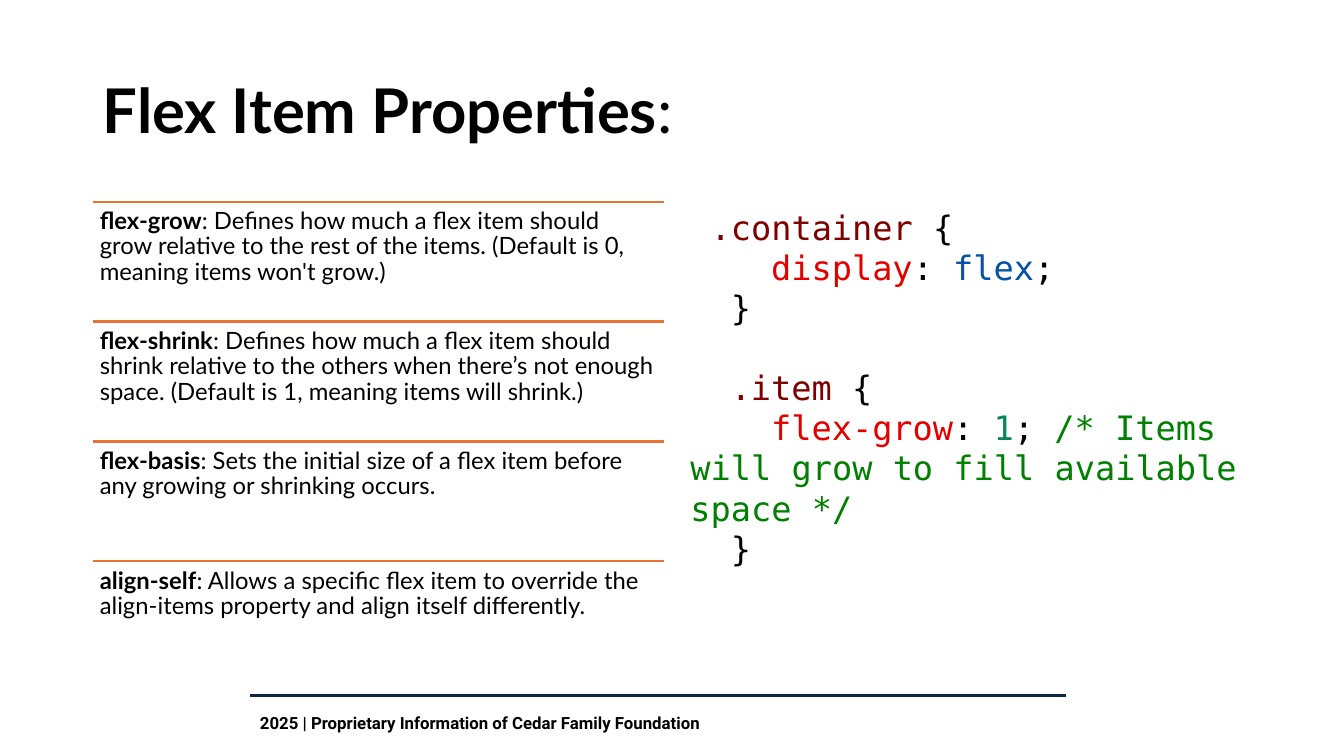
from lxml.etree import SubElement
from pptx import Presentation
from pptx.dml.color import RGBColor
from pptx.enum.shapes import MSO_CONNECTOR
from pptx.enum.text import MSO_ANCHOR
from pptx.oxml.ns import qn
from pptx.util import Inches, Pt

BLACK, NAVY, ORANGE = "000000", "0E2841", "E97132"
SELECTOR, PROPERTY, VALUE, NUMBER, COMMENT = "800000", "E50000", "0451A5", "098658", "008000"
LEFT, TOP, COLUMN_WIDTH, ROW_HEIGHT = 0.92, 2, 5.67, 1.19
CODE_SIZE = 24
CODE_CHARACTER = 0.2  # width in inches of one monospaced character

ITEM_PROPERTIES = [
    ("flex-grow", ": Defines how much a flex item should grow relative to the rest of the items. "
                  "(Default is 0, meaning items won't grow.)"),
    ("flex-shrink", ": Defines how much a flex item should shrink relative to the others when "
                    "there’s not enough space. (Default is 1, meaning items will shrink.)"),
    ("flex-basis", ": Sets the initial size of a flex item before any growing or shrinking occurs."),
    ("align-self", ": Allows a specific flex item to override the align-items property and "
                   "align itself differently."),
]

# Each line: indent in characters, space before in points, coloured spans
CODE_LINES = [
    (1, 0, [(".container", SELECTOR), (" {", BLACK)]),
    (4, 0, [("display", PROPERTY), (": ", BLACK), ("flex", VALUE), (";", BLACK)]),
    (2, 0, [("}", BLACK)]),
    (2, 28, [(".item", SELECTOR), (" {", BLACK)]),
    (4, 0, [("flex-grow", PROPERTY), (": ", BLACK), ("1", NUMBER), ("; ", BLACK),
            ("/* Items will grow to fill available space */", COMMENT)]),
    (2, 0, [("}", BLACK)]),
]


def color(value):
    return RGBColor.from_string(value)


def add_text_box(page, left, top, width, height, inset=None, anchor=MSO_ANCHOR.TOP):
    """Add a wrapping text box and return its text frame."""
    box = page.shapes.add_textbox(Inches(left), Inches(top), Inches(width), Inches(height))
    frame = box.text_frame
    frame.word_wrap = True
    frame.vertical_anchor = anchor
    if inset is not None:
        frame.margin_left = frame.margin_right = Inches(inset)
        frame.margin_top = frame.margin_bottom = Inches(inset)
    return frame


def add_span(para, text, size, font, fill=BLACK, bold=False):
    span = para.add_run()
    span.text = text
    span.font.name = font
    span.font.size = Pt(size)
    span.font.bold = bold
    span.font.color.rgb = color(fill)


def add_rule(page, left, top, width, fill):
    """Add a horizontal line without a shadow."""
    rule = page.shapes.add_connector(MSO_CONNECTOR.STRAIGHT, Inches(left), Inches(top),
                                     Inches(left + width), Inches(top))
    rule.line.color.rgb = color(fill)
    rule.line.width = Pt(1.5)
    SubElement(rule._element.spPr, qn("a:effectLst"))


def add_title(page, text, ending):
    para = add_text_box(page, LEFT, 0.4, 11.5, 1.45, anchor=MSO_ANCHOR.MIDDLE).paragraphs[0]
    para.line_spacing = 0.9
    add_span(para, text, 44, "Lato", bold=True)
    add_span(para, ending, 44, "Lato")


def add_definition(page, top, term, meaning):
    add_rule(page, LEFT, top, COLUMN_WIDTH, ORANGE)
    para = add_text_box(page, LEFT, top, COLUMN_WIDTH, ROW_HEIGHT, inset=0.07).paragraphs[0]
    para.line_spacing = 0.9
    add_span(para, term, 17, "Lato", bold=True)
    add_span(para, meaning, 17, "Lato")


def add_code(page, lines):
    frame = add_text_box(page, 6.75, TOP, COLUMN_WIDTH, 4 * ROW_HEIGHT)
    for number, (indent, space_before, spans) in enumerate(lines):
        para = frame.add_paragraph() if number else frame.paragraphs[0]
        para.space_before = Pt(space_before)
        properties = para._p.get_or_add_pPr()
        properties.set("marL", "0")
        properties.set("indent", str(Inches(indent * CODE_CHARACTER)))
        for text, fill in spans:
            add_span(para, text, CODE_SIZE, "DejaVu Sans Mono", fill)


def add_footer(page, text):
    add_rule(page, 2.48, 6.9, 8.09, NAVY)
    para = add_text_box(page, 2.48, 6.97, 8.09, 0.43, inset=0.1).paragraphs[0]
    add_span(para, text, 12, "Roboto", bold=True)


def main():
    deck = Presentation()
    deck.slide_width, deck.slide_height = Inches(13.33), Inches(7.5)
    page = deck.slides.add_slide(deck.slide_layouts[6])
    add_footer(page, "2025 | Proprietary Information of Cedar Family Foundation")
    add_title(page, "Flex Item Properties", ":")
    add_code(page, CODE_LINES)
    for row, (term, meaning) in enumerate(ITEM_PROPERTIES):
        add_definition(page, TOP + row * ROW_HEIGHT, term, meaning)
    deck.save("out.pptx")


if __name__ == "__main__":
    main()
